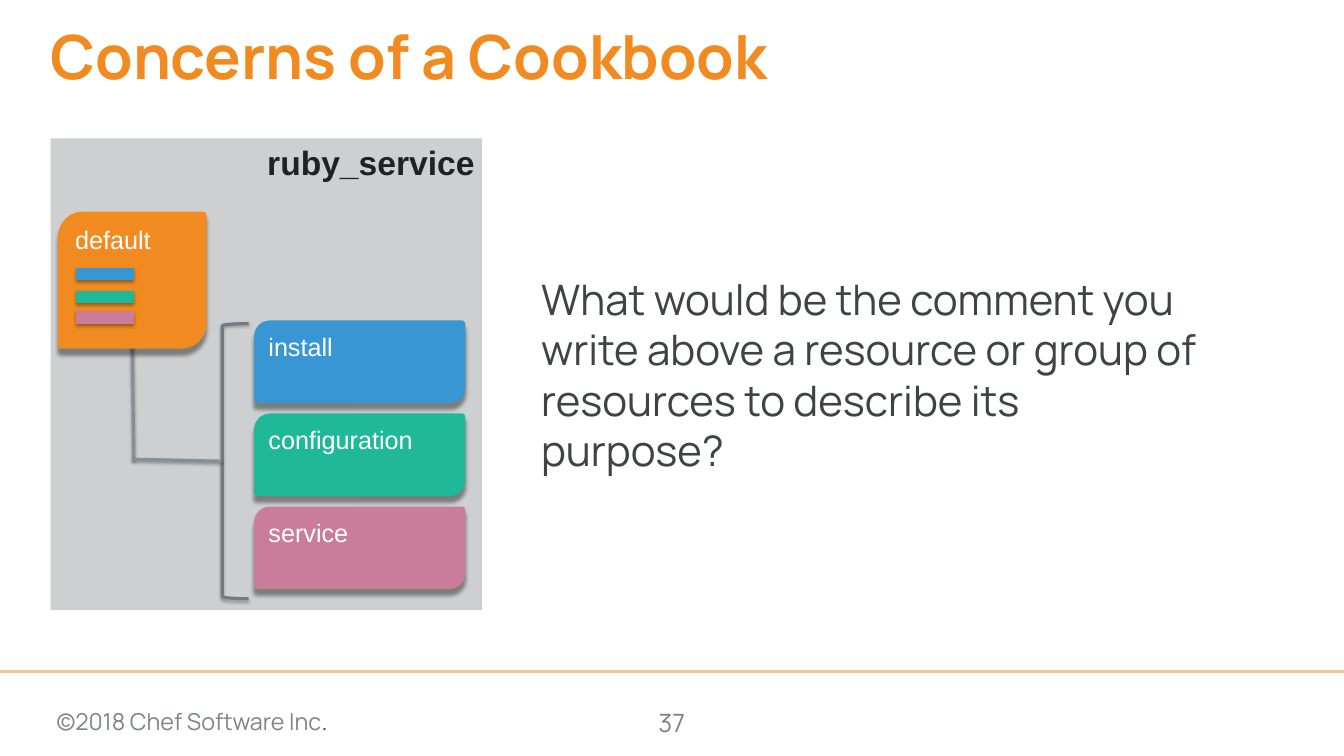
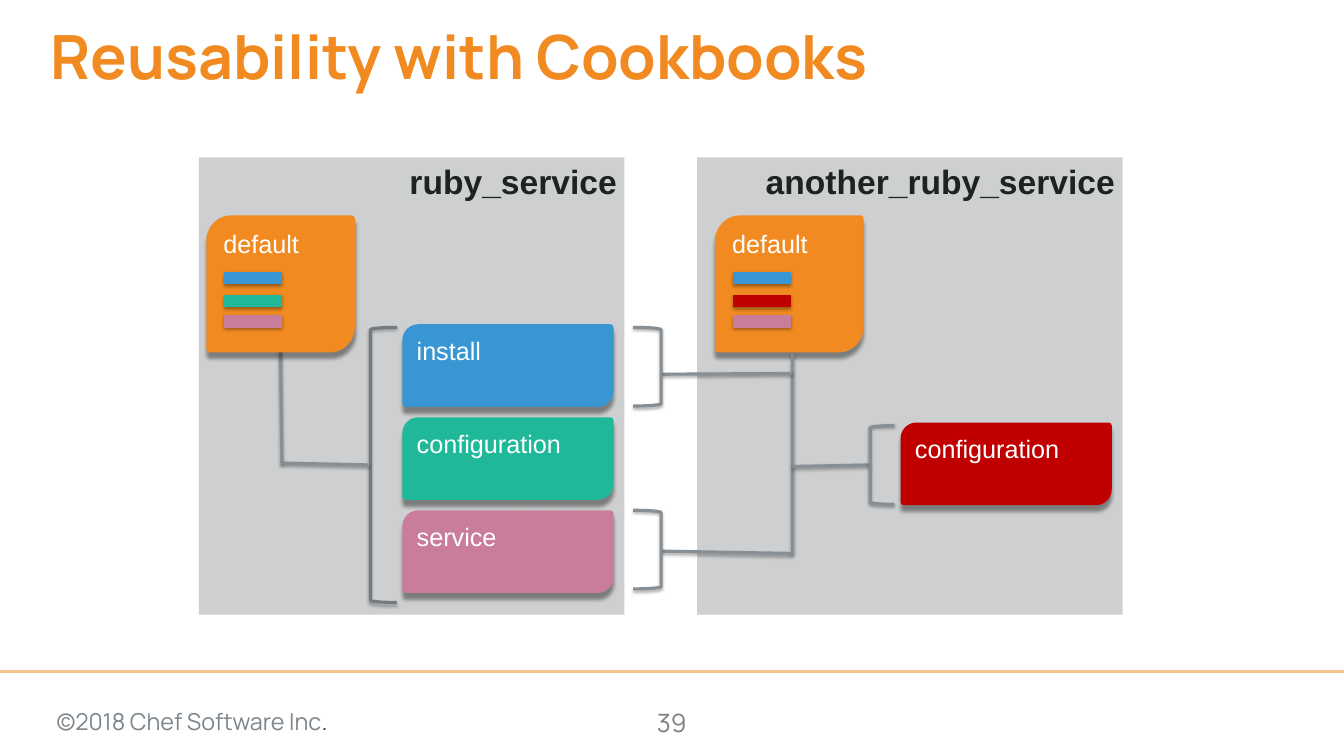
from dataclasses import dataclass

from lxml.etree import SubElement
from pptx import Presentation
from pptx.dml.color import RGBColor
from pptx.enum.shapes import MSO_CONNECTOR as Connector, MSO_SHAPE as Preset
from pptx.enum.text import MSO_ANCHOR as Anchor, PP_ALIGN as Align
from pptx.oxml.ns import qn
from pptx.util import Pt


@dataclass(frozen=True)
class Theme:
    orange: str = "F18B21"
    blue: str = "3897D3"
    green: str = "1FB899"
    pink: str = "C97D9A"
    red: str = "C00000"
    wire: str = "878F94"
    ink: str = "3E4346"
    heading: str = "1F2223"
    copyright: str = "7D868C"
    number: str = "7F7F7F"
    white: str = "FFFFFF"
    brand_font: str = "Manrope"
    diagram_font: str = "Arial"
    title_size: float = 58
    body_size: float = 40
    heading_size: float = 32
    label_size: float = 24
    footer_size: float = 22.2
    wire_width: float = 3
    card_border: float = 6
    bar_width: float = 12


@dataclass(frozen=True)
class Shadow:
    opacity: int
    blur: float
    distance: float


@dataclass(frozen=True)
class Box:
    left: float
    top: float
    width: float
    height: float

    def inner(self, left, top, width, height):
        return Box(self.left + left, self.top + top, width, height)

    def point(self, x, y):
        return self.left + x, self.top + y

    def lengths(self):
        return Pt(self.left), Pt(self.top), Pt(self.width), Pt(self.height)


THEME = Theme()
WIRE_SHADOW = Shadow(35, 3.1, 1.8)
CARD_SHADOW = Shadow(40, 4, 6)
PAGE = Box(0, 0, 1280, 720)
RECIPES = (
    ("install", THEME.blue),
    ("configuration", THEME.green),
    ("service", THEME.pink),
)
RECIPE_LEFT, RECIPE_DROP, RECIPE_PITCH = 196.8, 103.7, 88.6
RECIPE_WIDTH, RECIPE_HEIGHT = 195.1, 72.7
DEFAULT_WIDTH, DEFAULT_HEIGHT = 135.4, 124.6
BAR_LENGTH, BAR_TOPS = 55, (56.5, 78.5, 98)


def set_fade(shape, percent):
    color = shape._element.spPr.find(".//" + qn("a:srgbClr"))
    SubElement(color, qn("a:alpha")).set("val", str(percent * 1000))


def set_shadow(shape, shadow):
    properties = shape._element.spPr
    effects = properties.find(qn("a:effectLst"))
    if effects is None:
        effects = SubElement(properties, qn("a:effectLst"))
    if shadow is None:
        return
    outer = SubElement(effects, qn("a:outerShdw"))
    outer.set("blurRad", str(int(Pt(shadow.blur))))
    outer.set("dist", str(int(Pt(shadow.distance))))
    outer.set("dir", "5400000")
    outer.set("rotWithShape", "0")
    color = SubElement(outer, qn("a:srgbClr"))
    color.set("val", "000000")
    SubElement(color, qn("a:alpha")).set("val", str(shadow.opacity * 1000))


def format_run(span, font, size, color, bold=False):
    span.font.name = font
    span.font.size = Pt(size)
    span.font.bold = bold
    span.font.color.rgb = RGBColor.from_string(color)


def set_insets(frame, side, end):
    frame.margin_left = frame.margin_right = Pt(side)
    frame.margin_top = frame.margin_bottom = Pt(end)


def draw_line(page, start, end, color=THEME.wire, width=THEME.wire_width, shadow=WIRE_SHADOW):
    line = page.shapes.add_connector(Connector.STRAIGHT, *map(Pt, start + end))
    line.line.color.rgb = RGBColor.from_string(color)
    line.line.width = Pt(width)
    set_shadow(line, shadow)
    return line


def draw_bracket(page, box, flipped=False):
    bracket = page.shapes.add_shape(Preset.RIGHT_BRACKET, *box.lengths())
    bracket.shadow.inherit = False
    bracket.fill.background()
    bracket.line.color.rgb = RGBColor.from_string(THEME.wire)
    bracket.line.width = Pt(THEME.wire_width)
    set_shadow(bracket, WIRE_SHADOW)
    if flipped:
        bracket._element.spPr.xfrm.set("flipH", "1")


def draw_block(page, preset, box, text, color, align, size, text_color, bold=False):
    block = page.shapes.add_shape(preset, *box.lengths())
    block.shadow.inherit = False
    block.fill.solid()
    block.fill.fore_color.rgb = RGBColor.from_string(color)
    block.line.fill.background()
    frame = block.text_frame
    frame.text = text
    frame.vertical_anchor = Anchor.TOP
    set_insets(frame, 7.2, 3.6)
    para = frame.paragraphs[0]
    para.alignment = align
    format_run(para.runs[0], THEME.diagram_font, size, text_color, bold)
    return block


def draw_card(page, box, text, color):
    card = draw_block(page, Preset.ROUND_2_DIAG_RECTANGLE, box, text, color,
                      Align.LEFT, THEME.label_size, THEME.white)
    card.line.color.rgb = RGBColor.from_string(color)
    card.line.width = Pt(THEME.card_border)
    set_shadow(card, CARD_SHADOW)


def draw_panel(page, box, name):
    panel = draw_block(page, Preset.RECTANGLE, box, name, THEME.ink,
                       Align.RIGHT, THEME.heading_size, THEME.heading, True)
    set_fade(panel, 25)


def draw_default(page, box, bar_colors):
    draw_card(page, box, "default", THEME.orange)
    for top, color in zip(BAR_TOPS, bar_colors):
        draw_line(page, box.point(14.2, top), box.point(14.2 + BAR_LENGTH, top),
                  color, THEME.bar_width)


def draw_cookbook(page, box, name, head):
    default = box.inner(10.1, head, DEFAULT_WIDTH, DEFAULT_HEIGHT)
    recipes_top = head + RECIPE_DROP
    draw_bracket(page, box.inner(163.5, recipes_top, 25.2, 262), True)
    draw_panel(page, box, name)
    for index, (label, color) in enumerate(RECIPES):
        top = recipes_top + index * RECIPE_PITCH
        draw_card(page, box.inner(RECIPE_LEFT, top, RECIPE_WIDTH, RECIPE_HEIGHT), label, color)
    draw_line(page, default.point(67.7, 124), default.point(69.1, 233.3))
    draw_line(page, default.point(68, 232.9), default.point(152.6, 234.7))
    draw_default(page, default, [color for label, color in RECIPES])


def draw_reusing_cookbook(page, box, name, head):
    trunk = 90.8
    draw_panel(page, box, name)
    draw_default(page, box.inner(20.2, head, DEFAULT_WIDTH, DEFAULT_HEIGHT),
                 (THEME.blue, THEME.red, THEME.pink))
    wires = (
        (trunk, 187.2, trunk, 377.3),
        (-33.8, 206.6, trunk, 205.9),
        (-33.8, 375.1, trunk, 377.3),
        (trunk, 294.5, 164.9, 293),
    )
    for x1, y1, x2, y2 in wires:
        draw_line(page, box.point(x1, y1), box.point(x2, y2))
    for top in (162, 336.2):
        draw_bracket(page, box.inner(-60.8, top, 26.6, 74.9))
    draw_bracket(page, box.inner(164.9, 255.6, 23, 74.9), True)
    draw_card(page, box.inner(RECIPE_LEFT, 255.6, RECIPE_WIDTH, RECIPE_HEIGHT),
              "configuration", THEME.red)


def add_text(page, box, spans, size, align=Align.LEFT, anchor=Anchor.TOP):
    frame = page.shapes.add_textbox(*box.lengths()).text_frame
    frame.word_wrap = True
    frame.vertical_anchor = anchor
    set_insets(frame, 7.2, 7.2)
    para = frame.paragraphs[0]
    para.alignment = align
    for text, color in spans:
        span = para.add_run()
        span.text = text
        format_run(span, THEME.brand_font, size, color)


def draw_footer(page, box, number):
    rule = draw_line(page, box.point(box.width, 0), box.point(0, 0), THEME.orange, shadow=None)
    set_fade(rule, 50)
    add_text(page, box.inner(46.8, 26.6, 424.8, 37.4),
             [("©2018 Chef Software Inc", THEME.copyright), (".", THEME.ink)],
             THEME.footer_size)
    add_text(page, box.inner(583.2, 26.6, 113, 41), [(number, THEME.number)],
             THEME.label_size, Align.CENTER)


def set_title(page, box, text):
    title = page.shapes.title
    title.left, title.top, title.width, title.height = box.lengths()
    frame = title.text_frame
    frame.text = text
    frame.word_wrap = True
    frame.vertical_anchor = Anchor.MIDDLE
    set_insets(frame, 0, 0)
    para = frame.paragraphs[0]
    para.alignment = Align.LEFT
    para.line_spacing = 0.9
    format_run(para.runs[0], THEME.brand_font, THEME.title_size, THEME.orange, True)


def add_page(deck, title, number):
    page = deck.slides.add_slide(deck.slide_layouts[5])
    draw_footer(page, PAGE.inner(0, 639.4, PAGE.width, 80.6), number)
    set_title(page, PAGE.inner(48.2, 23.8, 1175.8, 65.5), title)
    return page


def add_concerns_page(deck):
    page = add_page(deck, "Concerns of a Cookbook", "37")
    draw_cookbook(page, PAGE.inner(48.2, 131.8, 411.1, 449.3), "ruby_service", 72.7)
    question = ("What would be the comment you write above a resource or group of "
                "resources to describe its purpose?")
    add_text(page, PAGE.inner(508.3, 131.8, 650.9, 449.3), [(question, THEME.ink)],
             THEME.body_size, anchor=Anchor.MIDDLE)


def add_reusability_page(deck):
    page = add_page(deck, "Reusability with Cookbooks", "39")
    cookbook = PAGE.inner(189.4, 149.8, 405.4, 435.6)
    draw_cookbook(page, cookbook, "ruby_service", 58.3)
    draw_reusing_cookbook(page, cookbook.inner(474.5, 0, cookbook.width, cookbook.height),
                          "another_ruby_service", 58.3)


def main():
    deck = Presentation()
    deck.slide_width, deck.slide_height = Pt(PAGE.width), Pt(PAGE.height)
    add_concerns_page(deck)
    add_reusability_page(deck)
    deck.save("out.pptx")


if __name__ == "__main__":
    main()
